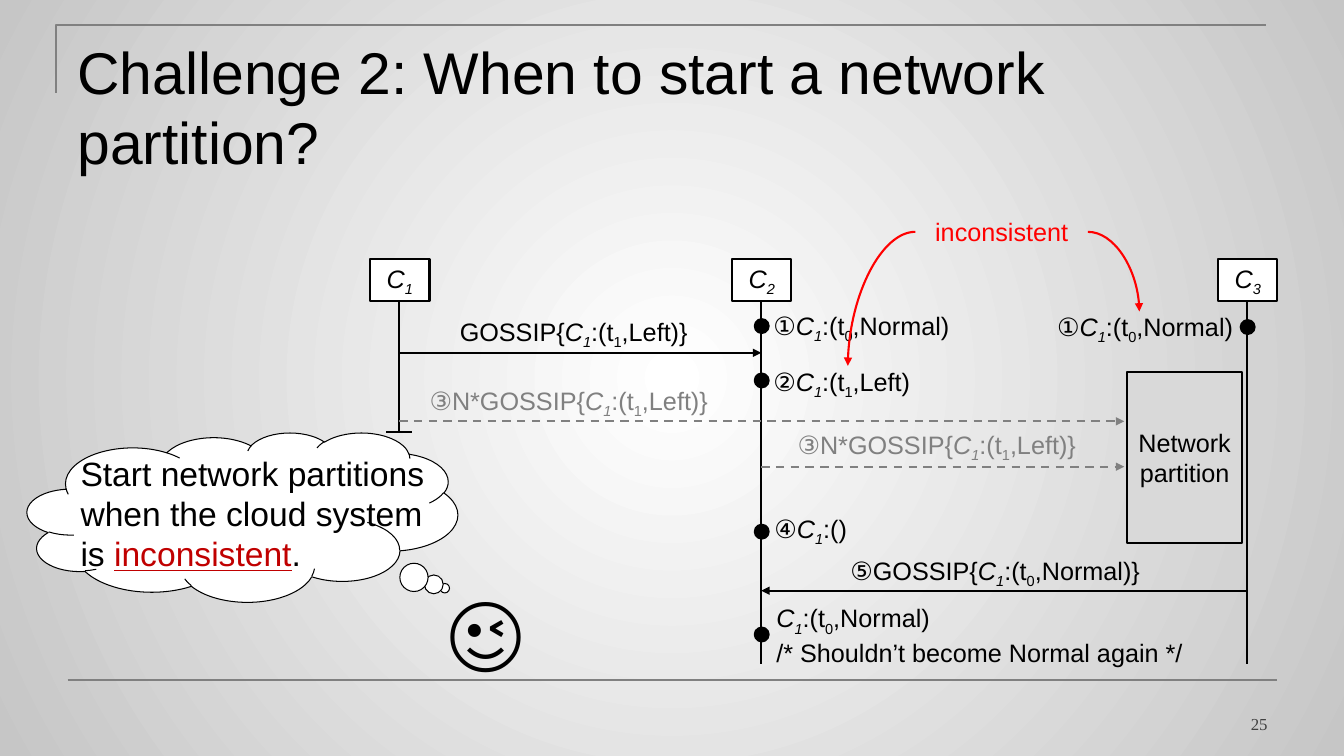
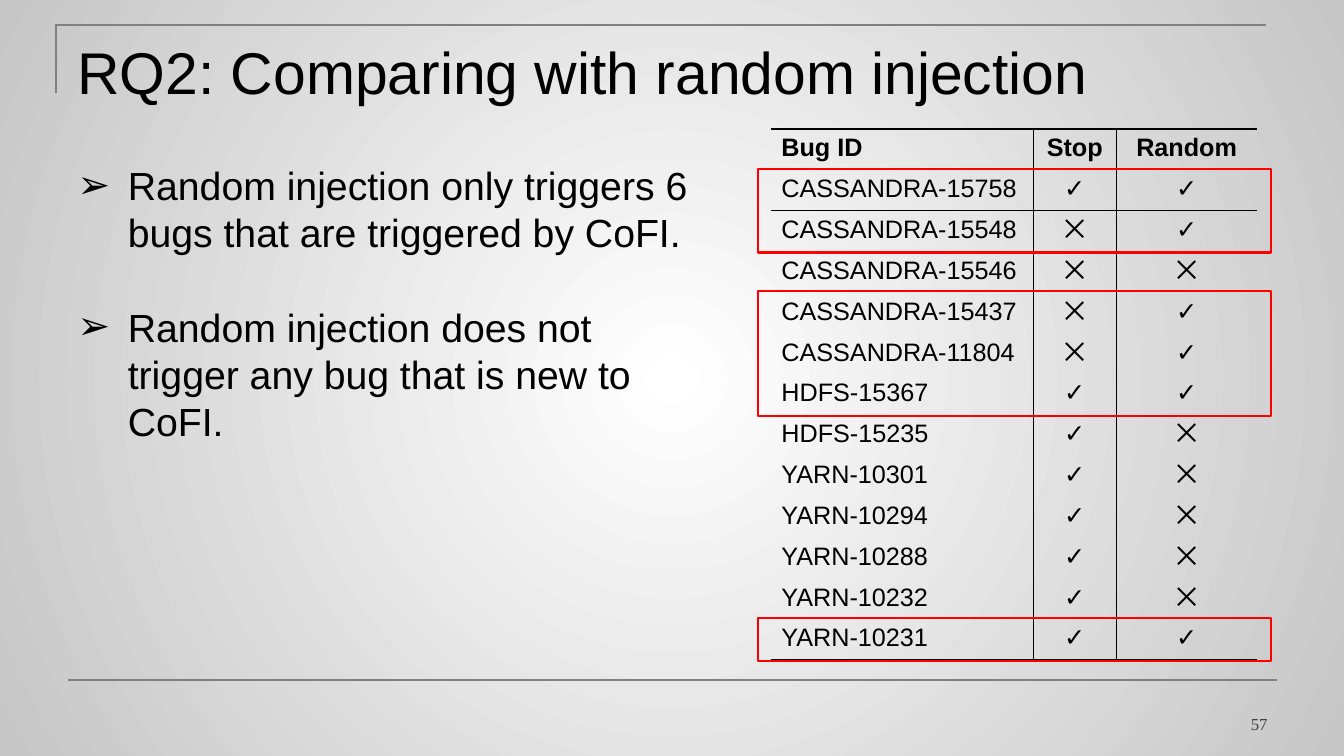
"""Build two slides: a message sequence diagram and a table of bugs found."""
from lxml import etree
from pptx import Presentation
from pptx.dml.color import RGBColor
from pptx.enum.dml import MSO_LINE
from pptx.enum.shapes import MSO_CONNECTOR, MSO_SHAPE
from pptx.enum.text import MSO_ANCHOR, MSO_AUTO_SIZE, PP_ALIGN
from pptx.oxml.ns import qn
from pptx.util import Emu, Pt

LEFT, CENTER, RIGHT = PP_ALIGN.LEFT, PP_ALIGN.CENTER, PP_ALIGN.RIGHT
TOP, MIDDLE, BOTTOM = MSO_ANCHOR.TOP, MSO_ANCHOR.MIDDLE, MSO_ANCHOR.BOTTOM
STRAIGHT, CURVE = MSO_CONNECTOR.STRAIGHT, MSO_CONNECTOR.CURVE
RECTANGLE, OVAL, CLOUD = MSO_SHAPE.RECTANGLE, MSO_SHAPE.OVAL, MSO_SHAPE.CLOUD_CALLOUT
DASH = MSO_LINE.DASH
FIT_SHAPE = MSO_AUTO_SIZE.SHAPE_TO_FIT_TEXT

PX = 9144
SANS, SERIF = "Arial", "Times New Roman"
BLACK, WHITE, GRAY, RED = "000000", "FFFFFF", "808080", "FF0000"
DARK_RED, DARK_GRAY, PANEL, EDGE = "C00000", "404040", "D9D9D9", "C6C6C6"
PLAIN_TABLE = "{2D5ABB26-0587-4C30-8999-92F81FD0307C}"

# Markup in labels: |italic|, and ~ before a subscript character.
CHALLENGE = "Challenge 2: When to start a network partition?"
LIFELINES = [("|C~1|", 396, 429), ("|C~2|", 755, 659), ("|C~3|", 1237, 659)]
C1, C2, C3 = [x for _, x, _ in LIFELINES]
EVENTS = [(C2, 317), (C2, 371), (C2, 521), (C2, 623), (C3, 318)]
BARRIER = 1115
MESSAGES = [
    (C1, C2, 350, BLACK, None),
    (C1, BARRIER, 418, GRAY, DASH),
    (C2, BARRIER, 463, GRAY, DASH),
    (C3, C2, 586, BLACK, None),
]
LABELS = [
    ((454, 314, 230, 30), ["GOSSIP{|C~1|:(t~1,Left)}"], CENTER, BLACK),
    ((426, 382, 289, 30), ["③N*GOSSIP{|C~1|:(t~1,Left)}"], LEFT, GRAY),
    ((791, 426, 289, 30), ["③N*GOSSIP{|C~1|:(t~1,Left)}"], LEFT, GRAY),
    ((837, 551, 300, 30), ["⑤GOSSIP{|C~1|:(t~0,Normal)}"], CENTER, BLACK),
    ((767, 308, 186, 30), ["①|C~1|:(t~0,Normal)"], LEFT, BLACK),
    ((767, 363, 147, 30), ["②|C~1|:(t~1,Left)"], LEFT, BLACK),
    ((768, 509, 82, 30), ["④|C~1|:()"], LEFT, BLACK),
    ((770, 598, 407, 61),
     ["|C~1|:(t~0,Normal)", "/* Shouldn’t become Normal again */"], LEFT, BLACK),
    ((1037, 309, 186, 30), ["①|C~1|:(t~0,Normal)"], RIGHT, BLACK),
]
CONFLICT_ARROWS = [(908, 230, 841, 363), (1079, 230, 1130, 309)]
ADVICE = "Start network partitions when the cloud system is "
ADVICE_KEYWORD = "inconsistent"

COMPARISON = "RQ2: Comparing with random injection"
FINDINGS = [
    "Random injection only triggers 6 bugs that are triggered by CoFI.",
    "Random injection does not trigger any bug that is new to CoFI.",
]
BUGS = [
    ("Bug ID", "Stop", "Random"),
    ("CASSANDRA-15758", "✓", "✓"),
    ("CASSANDRA-15548", "⨉", "✓"),
    ("CASSANDRA-15546", "⨉", "⨉"),
    ("CASSANDRA-15437", "⨉", "✓"),
    ("CASSANDRA-11804", "⨉", "✓"),
    ("HDFS-15367", "✓", "✓"),
    ("HDFS-15235", "✓", "⨉"),
    ("YARN-10301", "✓", "⨉"),
    ("YARN-10294", "✓", "⨉"),
    ("YARN-10288", "✓", "⨉"),
    ("YARN-10232", "✓", "⨉"),
    ("YARN-10231", "✓", "✓"),
]
COLUMN_WIDTHS = [260, 82, 140]
TABLE_LEFT, TABLE_TOP, TABLE_HEIGHT = 765, 128, 527
HIGHLIGHTED_ROWS = [(1, 2), (4, 6), (12, 12)]


def px(*lengths):
    return [Emu(round(length * PX)) for length in lengths]


def color(value):
    return RGBColor.from_string(value)


def set_line(line, value, width=1.5):
    line.color.rgb = color(value)
    line.width = Pt(width)


def style(paragraph, size, value=BLACK, align=LEFT, name=SANS, bold=False):
    paragraph.alignment = align
    font = paragraph.font
    font.size, font.name, font.bold = Pt(size), name, bold
    font.color.rgb = color(value)


def write_label(paragraph, text):
    for index, part in enumerate(text.split("|")):
        for position, piece in enumerate(part.split("~")):
            cut = 1 if position else 0
            for content, baseline in ((piece[:cut], "-25000"), (piece[cut:], None)):
                if content:
                    run = paragraph.add_run()
                    run.text = content
                    if index % 2:
                        run.font.italic = True
                    if baseline:
                        run._r.get_or_add_rPr().set("baseline", baseline)


def add_text(slide, box, lines, size, value=BLACK, align=LEFT, name=SANS,
             anchor=TOP, wrap=True, inset=True):
    frame = slide.shapes.add_textbox(*px(*box)).text_frame
    frame.word_wrap = wrap
    frame.vertical_anchor = anchor
    if not wrap:
        frame.auto_size = FIT_SHAPE
    if not inset:
        frame.margin_left = frame.margin_right = frame.margin_top = frame.margin_bottom = 0
    for index, line in enumerate(lines):
        paragraph = frame.add_paragraph() if index else frame.paragraphs[0]
        write_label(paragraph, line)
        style(paragraph, size, value, align, name)
    return frame


def add_shape(slide, kind, box, fill=None, line=BLACK, width=1.5, text=""):
    shape = slide.shapes.add_shape(kind, *px(*box))
    shape.shadow.inherit = False
    if fill:
        shape.fill.solid()
        shape.fill.fore_color.rgb = color(fill)
    else:
        shape.fill.background()
    set_line(shape.line, line, width)
    if text:
        shape.text_frame.word_wrap = True
        shape.text_frame.vertical_anchor = MIDDLE
        paragraph = shape.text_frame.paragraphs[0]
        write_label(paragraph, text)
        style(paragraph, 18, align=CENTER)
    return shape


def add_line(slide, ends, value=BLACK, kind=STRAIGHT, dash=None, arrow=False):
    connector = slide.shapes.add_connector(kind, *px(*ends))
    set_line(connector.line, value)
    if dash:
        connector.line.dash_style = dash
    properties = connector._element.spPr
    if arrow:
        etree.SubElement(connector.line._get_or_add_ln(), qn("a:tailEnd"), type="triangle")
    if kind == CURVE:
        properties.find(qn("a:prstGeom")).set("prst", "curvedConnector2")
    etree.SubElement(properties, qn("a:effectLst"))


def add_slide(presentation, title, number):
    slide = presentation.slides.add_slide(presentation.slide_layouts[6])
    fill = slide.background.fill
    fill.gradient()
    for stop, value in zip(fill.gradient_stops, (WHITE, EDGE)):
        stop.color.rgb = color(value)
    linear = next(slide._element.iter(qn("a:lin")))
    gradient = linear.getparent()
    gradient.remove(linear)
    radial = etree.SubElement(gradient, qn("a:path"), path="circle")
    etree.SubElement(radial, qn("a:fillToRect"), l="50000", t="50000", r="50000", b="50000")

    builder = slide.shapes.build_freeform(*px(56, 92), scale=1.0)
    builder.add_line_segments([px(56, 25), px(1256, 25)], close=False)
    corner = builder.convert_to_shape()
    corner.shadow.inherit = False
    corner.fill.background()
    set_line(corner.line, GRAY)
    add_line(slide, (67, 675, 1267, 675), GRAY)
    add_text(slide, (67, 30, 1200, 125), [title], 42)
    add_text(slide, (956, 683, 311, 50), [number], 12, DARK_GRAY, RIGHT, SERIF, BOTTOM)
    return slide


def build_challenge(presentation):
    slide = add_slide(presentation, CHALLENGE, "25")
    add_shape(slide, RECTANGLE, (1118, 369, 114, 170), PANEL, text="Network partition")
    for name, x, bottom in LIFELINES:
        add_shape(slide, RECTANGLE, (x - 29, 257, 59, 42), WHITE, text=name)
        add_line(slide, (x, 299, x, bottom))
    add_line(slide, (C1 - 13, 429, C1 + 13, 429))
    for start, end, y, value, dash in MESSAGES:
        add_line(slide, (start, y, end, y), value, dash=dash, arrow=True)
    for x, top in EVENTS:
        add_shape(slide, OVAL, (x - 6, top, 13, 13), BLACK, width=2)
    for box, lines, align, value in LABELS:
        add_text(slide, box, lines, 18, value, align, wrap=False, inset=False)

    add_text(slide, (430, 568, 104, 111), ["😉"], 60, align=CENTER, wrap=False)
    cloud = add_shape(slide, CLOUD, (27, 429, 427, 168), WHITE, width=0.75)
    cloud.adjustments[0], cloud.adjustments[1] = 0.47, 0.42
    paragraph = add_text(slide, (70, 444, 375, 131), [ADVICE], 24).paragraphs[0]
    keyword = paragraph.add_run()
    keyword.text = ADVICE_KEYWORD
    keyword.font.underline = True
    keyword.font.color.rgb = color(DARK_RED)
    paragraph.add_run().text = "."

    add_text(slide, (908, 210, 171, 40), ["inconsistent"], 18, RED, CENTER)
    for ends in CONFLICT_ARROWS:
        add_line(slide, ends, RED, CURVE, arrow=True)


def set_borders(cell, sides):
    properties = cell._tc.get_or_add_tcPr()
    for position, side in enumerate(sides):
        border = etree.Element(qn("a:ln" + side), w=str(Pt(1)))
        solid = etree.SubElement(border, qn("a:solidFill"))
        etree.SubElement(solid, qn("a:srgbClr"), val=BLACK)
        properties.insert(position, border)


def add_bug_table(slide):
    last_row, last_column = len(BUGS) - 1, len(COLUMN_WIDTHS) - 1
    frame = slide.shapes.add_table(
        len(BUGS), len(COLUMN_WIDTHS),
        *px(TABLE_LEFT, TABLE_TOP, sum(COLUMN_WIDTHS), TABLE_HEIGHT))
    table = frame.table
    table.first_row = table.horz_banding = False
    next(frame._element.iter(qn("a:tableStyleId"))).text = PLAIN_TABLE
    for column, width in zip(table.columns, px(*COLUMN_WIDTHS)):
        column.width = width
    for row_index, values in enumerate(BUGS):
        for column_index, value in enumerate(values):
            cell = table.cell(row_index, column_index)
            cell.fill.background()
            cell.text = value
            style(cell.text_frame.paragraphs[0], 18,
                  align=CENTER if column_index else LEFT, bold=row_index == 0)
            rules = [
                ("L", column_index > 0),
                ("R", column_index < last_column),
                ("T", row_index <= 1),
                ("B", row_index in (0, last_row)),
            ]
            set_borders(cell, [side for side, shown in rules if shown])


def build_comparison(presentation):
    slide = add_slide(presentation, COMPARISON, "57")
    add_bug_table(slide)
    frame = add_text(slide, (67, 155, 633, 293), [], 28)
    for index, finding in enumerate(FINDINGS):
        paragraph = frame.add_paragraph() if index else frame.paragraphs[0]
        paragraph.text = finding
        properties = paragraph._p.get_or_add_pPr()
        indent = px(50)[0]
        properties.set("marL", str(indent))
        properties.set("indent", str(-indent))
        etree.SubElement(properties, qn("a:buFont"), typeface=SANS)
        etree.SubElement(properties, qn("a:buChar"), char="➢")
        if index:
            paragraph.space_before = Pt(34)
        style(paragraph, 28)

    row_height = TABLE_HEIGHT / len(BUGS)
    for first, last in HIGHLIGHTED_ROWS:
        top = TABLE_TOP + first * row_height - 1
        height = (last - first + 1) * row_height + 2
        add_shape(slide, RECTANGLE, (752, top, 509, height), line=RED)


def main():
    presentation = Presentation()
    presentation.slide_width, presentation.slide_height = px(1333, 750)
    build_challenge(presentation)
    build_comparison(presentation)
    presentation.save("out.pptx")


if __name__ == "__main__":
    main()
